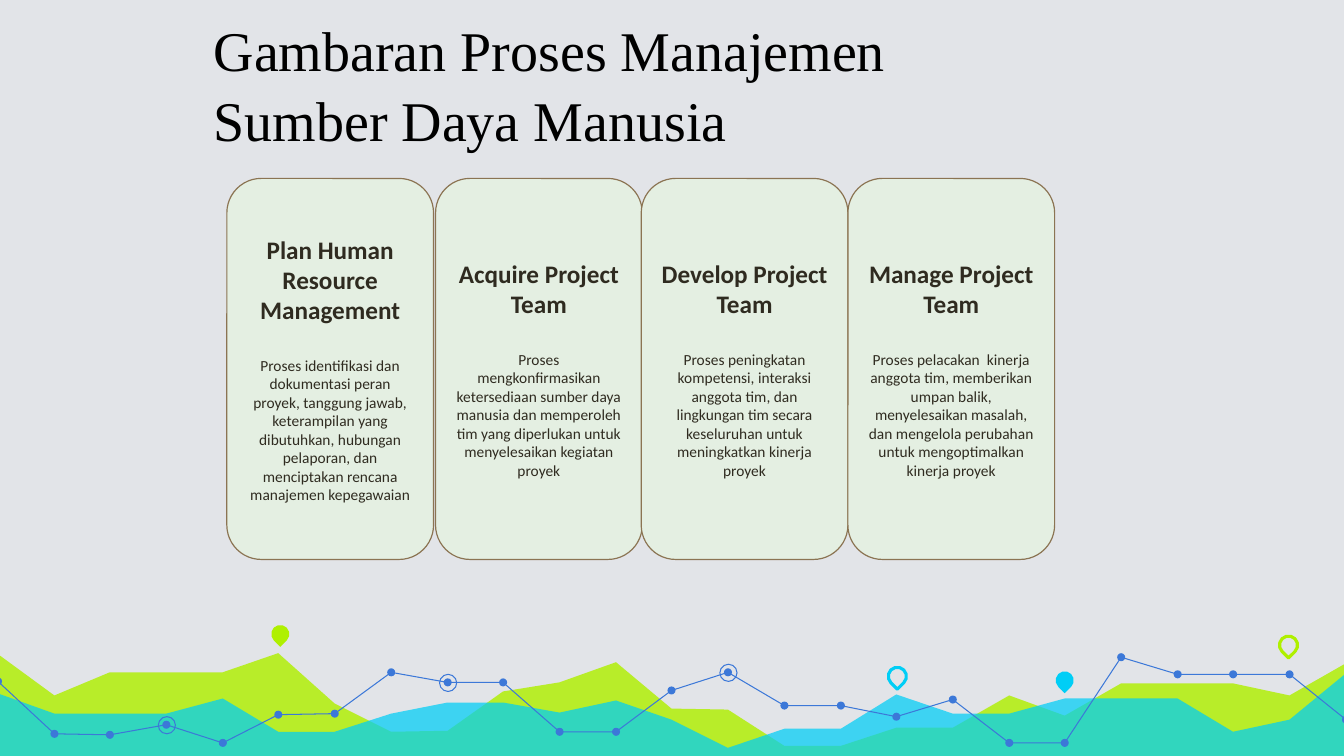
from dataclasses import dataclass

from lxml.etree import SubElement
from pptx import Presentation
from pptx.dml.color import RGBColor
from pptx.enum.shapes import MSO_SHAPE
from pptx.enum.text import MSO_ANCHOR, MSO_AUTO_SIZE, PP_ALIGN
from pptx.oxml.ns import qn
from pptx.util import Pt

PX = 9144


@dataclass(frozen=True)
class Theme:
    """Colours, fonts and type sizes of the slide."""
    back: str = "E2E4E8"
    lime: str = "AFF000"
    cyan: str = "00CEF6"
    blue: str = "3C78D8"
    card: str = "E4EFE2"
    edge: str = "8B7453"
    ink: str = "2F2B20"
    black: str = "000000"
    title_font: str = "Times New Roman"
    body_font: str = "Calibri"
    title_size: int = 40
    head_size: int = 18
    body_size: int = 11


T = Theme()

TITLE = ("Gambaran Proses Manajemen", "Sumber Daya Manusia")
CARDS = (
    (225, "Plan Human Resource Management",
     "Proses identifikasi dan dokumentasi peran proyek, tanggung jawab, "
     "keterampilan yang dibutuhkan, hubungan pelaporan, dan menciptakan "
     "rencana manajemen kepegawaian"),
    (432, "Acquire Project Team",
     "Proses mengkonfirmasikan ketersediaan sumber daya manusia dan "
     "memperoleh tim yang diperlukan untuk menyelesaikan kegiatan proyek"),
    (636, "Develop Project Team",
     "Proses peningkatan kompetensi, interaksi anggota tim, dan lingkungan "
     "tim secara keseluruhan untuk meningkatkan kinerja proyek"),
    (841, "Manage Project Team",
     "Proses pelacakan  kinerja anggota tim, memberikan umpan balik, "
     "menyelesaikan masalah, dan mengelola perubahan untuk mengoptimalkan "
     "kinerja proyek"),
)

LIME_HEIGHTS = (649, 690, 667, 667, 667, 648, 698, 726, 725, 686, 677, 657, 703,
                704, 740, 740, 722, 722, 690, 710, 678, 678, 678, 690, 658)
CYAN_HEIGHTS = (688, 708, 708, 708, 693, 726, 726, 708, 697, 697, 707, 695, 714,
                742, 723, 723, 689, 708, 708, 693, 693, 693, 726, 714, 668)
LINE_HEIGHTS = (676, 728, 729, 719, 737, 709, 708, 667, 677, 677, 726, 726, 685,
                667, 700, 700, 711, 694, 737, 737, 652, 669, 669, 669, 714)
RINGED = (3, 8, 13)
PINS = ((269, 620, T.lime, True), (881, 662, T.cyan, False),
        (1047, 666, T.cyan, True), (1269, 631, T.lime, False))


def style(sp, fill=None, line=None, width=0.75):
    """Set the fill and outline of a shape and drop its shadow."""
    sp.shadow.inherit = False
    if fill:
        sp.fill.solid()
        sp.fill.fore_color.rgb = RGBColor.from_string(fill)
    else:
        sp.fill.background()
    if line:
        sp.line.color.rgb = RGBColor.from_string(line)
        sp.line.width = Pt(width)
    else:
        sp.line.fill.background()


def add_preset(s, kind, x, y, w, h):
    """Add a preset shape measured in px."""
    return s.shapes.add_shape(kind, x * PX, y * PX, w * PX, h * PX)


def add_run(p, text, font, size, color, bold=False):
    """Add one formatted run to a paragraph."""
    r = p.add_run()
    r.text = text
    r.font.name = font
    r.font.size = Pt(size)
    r.font.bold = bold
    r.font.color.rgb = RGBColor.from_string(color)


def chart_points(heights):
    """Spread heights evenly across the slide."""
    return [(round(-2 + 55.7 * i), y) for i, y in enumerate(heights)]


def add_outline(s, points, close):
    """Add a freeform through the given points."""
    fb = s.shapes.build_freeform(*points[0], scale=PX)
    fb.add_line_segments(points[1:], close=close)
    return fb.convert_to_shape()


def add_area(s, heights, color, opacity):
    """Add a translucent area reaching the foot of the slide."""
    points = chart_points(heights)
    foot = [(points[-1][0], 752), (points[0][0], 752)]
    sp = add_outline(s, points + foot, True)
    style(sp, color)
    rgb = sp.fill._xPr.find(".//" + qn("a:srgbClr"))
    SubElement(rgb, qn("a:alpha")).set("val", str(opacity * 1000))


def add_dotted_line(s, heights):
    """Add the line with a dot at each point and rings at some."""
    points = chart_points(heights)
    style(add_outline(s, points, False), line=T.blue)
    for i, (x, y) in enumerate(points):
        style(add_preset(s, MSO_SHAPE.OVAL, x - 4, y - 4, 8, 8), T.blue)
        if i in RINGED:
            style(add_preset(s, MSO_SHAPE.OVAL, x - 8, y - 8, 17, 17), line=T.blue)


def add_pin(s, x, y, color, solid):
    """Add a map pin, solid or hollow."""
    sp = add_preset(s, MSO_SHAPE.TEAR, x, y, 18, 18)
    sp.rotation = 135
    if solid:
        style(sp, color)
    else:
        style(sp, line=color, width=2.25)


def add_title(s, lines):
    """Fill and place the title placeholder."""
    sp = s.shapes.title
    sp.left, sp.top, sp.width, sp.height = (v * PX for v in (202, 58, 781, 104))
    tf = sp.text_frame
    tf.word_wrap = True
    tf.auto_size = MSO_AUTO_SIZE.NONE
    tf.vertical_anchor = MSO_ANCHOR.BOTTOM
    tf.margin_left = tf.margin_right = tf.margin_top = tf.margin_bottom = 10 * PX
    p = tf.paragraphs[0]
    p.alignment = PP_ALIGN.LEFT
    p.line_spacing = 1.05
    for i, line in enumerate(lines):
        if i:
            p.add_line_break()
        add_run(p, line, T.title_font, T.title_size, T.black)


def add_card(s, x, head, body):
    """Add a rounded card with a heading and a description."""
    sp = add_preset(s, MSO_SHAPE.ROUNDED_RECTANGLE, x, 177, 205, 378)
    style(sp, T.card, T.edge, 0.85)
    tf = sp.text_frame
    tf.word_wrap = True
    tf.vertical_anchor = MSO_ANCHOR.MIDDLE
    p = tf.paragraphs[0]
    p.alignment = PP_ALIGN.CENTER
    p.space_after = Pt(22)
    add_run(p, head, T.body_font, T.head_size, T.ink, True)
    p = tf.add_paragraph()
    p.alignment = PP_ALIGN.CENTER
    add_run(p, body, T.body_font, T.body_size, T.ink)


def main():
    """Build the slide and save it."""
    prs = Presentation()
    prs.slide_width, prs.slide_height = 1333 * PX, 750 * PX
    s = prs.slides.add_slide(prs.slide_layouts[5])
    s.background.fill.solid()
    s.background.fill.fore_color.rgb = RGBColor.from_string(T.back)
    add_area(s, LIME_HEIGHTS, T.lime, 82)
    add_area(s, CYAN_HEIGHTS, T.cyan, 73)
    add_dotted_line(s, LINE_HEIGHTS)
    for pin in PINS:
        add_pin(s, *pin)
    add_title(s, TITLE)
    for card in CARDS:
        add_card(s, *card)
    prs.save("out.pptx")


if __name__ == "__main__":
    main()
